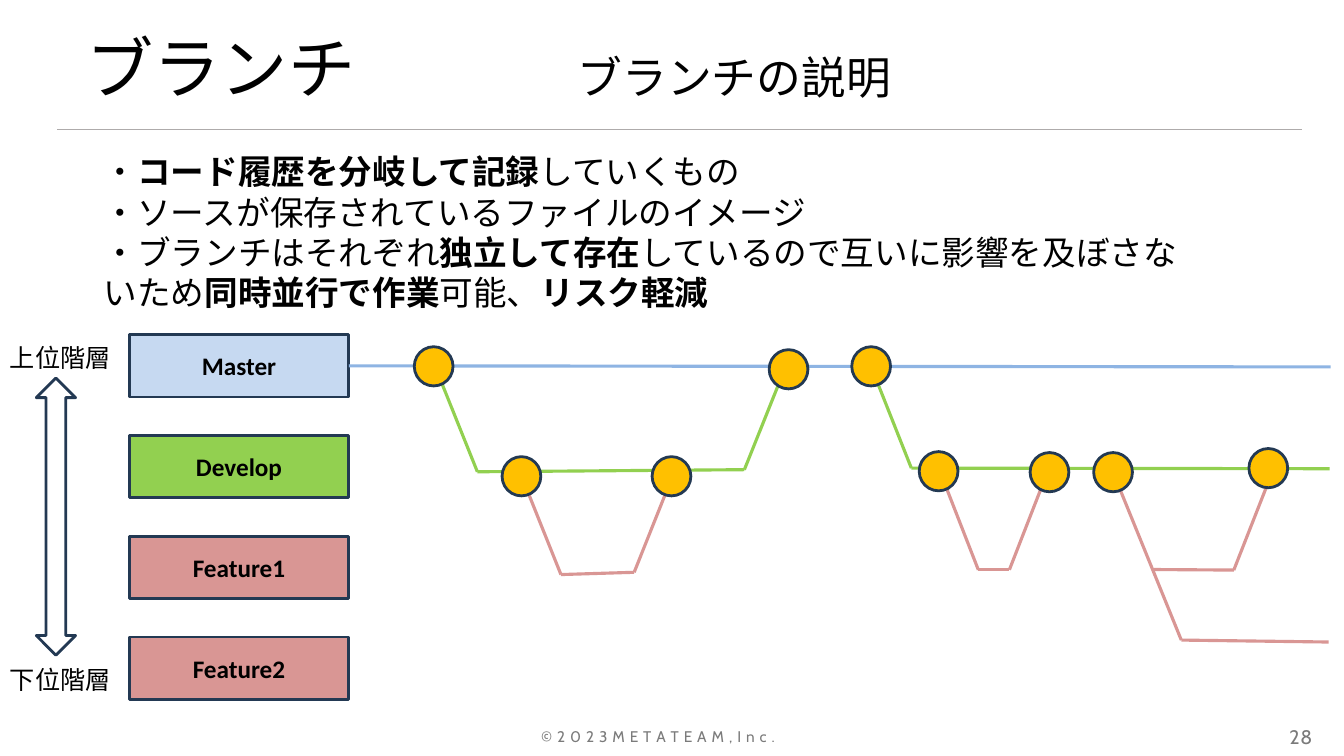
import itertools

import pptx
import pptx.dml.color
import pptx.enum.shapes
import pptx.enum.text
import pptx.oxml.ns
import pptx.util
from lxml import etree

Pt = pptx.util.Pt
SHAPES = pptx.enum.shapes.MSO_SHAPE

BLACK, GRAY, RULE_GRAY = "000000", "7B7B7B", "AEABAB"
NAVY, YELLOW = "233953", "FFC000"
PALE_BLUE, BLUE, GREEN, PINK = "C6D9F1", "8EB4E3", "92D050", "D99694"
JAPANESE_FONT = "Noto Sans CJK JP"

BOX_LEFT, BOX_TOP, BOX_WIDTH, BOX_HEIGHT, BOX_STEP = 92.2, 239, 157, 44.6, 72
COMMIT_WIDTH, COMMIT_HEIGHT = 27.7, 28

BRANCHES = [("Master", PALE_BLUE), ("Develop", GREEN), ("Feature1", PINK), ("Feature2", PINK)]

BRANCH_PATHS = [
    (GREEN, [(313.2, 267.8), (341, 337), (531.7, 335.5), (559.4, 266.4)]),
    (GREEN, [(623.5, 265), (651, 334.4), (949.7, 334.8)]),
    (PINK, [(373, 341.3), (400.7, 410.4), (453, 408.8), (480.2, 340.6)]),
    (PINK, [(671.8, 337.7), (698.8, 407), (721, 407), (748, 337.7)]),
    (PINK, [(799.9, 349.2), (843.8, 457.2), (949, 458.6)]),
    (PINK, [(824.4, 406.8), (881.3, 407.2), (908.6, 337.7)]),
]

COMMITS = [
    (295.9, 247.7), (549.4, 249.8), (608.4, 247.7),
    (358.6, 326.2), (465.8, 326.2), (656.6, 322.6),
    (735.8, 323.3), (781.2, 323.3), (892.1, 320.4),
]

# Each paragraph is a list of (text, bold) runs.
EXPLANATION = [
    [("・", False), ("コード履歴を分岐して記録", True), ("していくもの", False)],
    [("・ソースが保存されているファイルのイメージ", False)],
    [("・ブランチはそれぞれ", False), ("独立して存在", True),
     ("しているので互いに影響を及ぼさないため", False),
     ("同時並行で作業", True), ("可能、", False), ("リスク軽減", True)],
]


def rgb(color):
    return pptx.dml.color.RGBColor.from_string(color)


def format_run(run, size, font="Calibri", color=BLACK, bold=False, spacing=0):
    run.font.size = Pt(size)
    run.font.name = font
    run.font.bold = bold
    run.font.color.rgb = rgb(color)
    properties = run.font._element
    if spacing:
        properties.set("spc", str(round(spacing * 100)))
    latin = properties.find(pptx.oxml.ns.qn("a:latin"))
    east_asian = etree.Element(pptx.oxml.ns.qn("a:ea"), typeface=JAPANESE_FONT)
    latin.addnext(east_asian)


def add_text(slide, left, top, width, height, paragraphs, size, inset=True, **style):
    """Add a text box; each paragraph is a list of (text, bold) runs."""
    box = slide.shapes.add_textbox(Pt(left), Pt(top), Pt(width), Pt(height))
    frame = box.text_frame
    frame.word_wrap = True
    if not inset:
        frame.margin_left = frame.margin_right = frame.margin_bottom = 0
        frame.margin_top = Pt(0.7)
    for index, runs in enumerate(paragraphs):
        paragraph = frame.add_paragraph() if index else frame.paragraphs[0]
        for text, bold in runs:
            run = paragraph.add_run()
            run.text = text
            format_run(run, size, bold=bold, **style)


def add_label(slide, left, top, width, height, text, size, **style):
    add_text(slide, left, top, width, height, [[(text, False)]], size, **style)


def add_line(slide, start, end, color, width=2.25):
    line = slide.shapes.add_connector(
        pptx.enum.shapes.MSO_CONNECTOR.STRAIGHT, *map(Pt, start + end))
    line.line.color.rgb = rgb(color)
    line.line.width = Pt(width)
    etree.SubElement(line._element.spPr, pptx.oxml.ns.qn("a:effectLst"))
    return line


def add_outlined_shape(slide, kind, left, top, width, height, fill=None):
    shape = slide.shapes.add_shape(kind, Pt(left), Pt(top), Pt(width), Pt(height))
    shape.shadow.inherit = False
    if fill:
        shape.fill.solid()
        shape.fill.fore_color.rgb = rgb(fill)
    else:
        shape.fill.background()
    shape.line.color.rgb = rgb(NAVY)
    shape.line.width = Pt(2)
    return shape


def add_branch_box(slide, row, name, fill):
    box = add_outlined_shape(slide, SHAPES.RECTANGLE, BOX_LEFT, BOX_TOP + row * BOX_STEP,
                             BOX_WIDTH, BOX_HEIGHT, fill)
    box.text_frame.text = name
    box.text_frame.vertical_anchor = pptx.enum.text.MSO_ANCHOR.MIDDLE
    paragraph = box.text_frame.paragraphs[0]
    paragraph.alignment = pptx.enum.text.PP_ALIGN.CENTER
    format_run(paragraph.runs[0], 18, bold=True)
    return box


def add_branch_diagram(slide):
    boxes = [add_branch_box(slide, row, *branch) for row, branch in enumerate(BRANCHES)]
    master_line = add_line(slide, (249.2, 261.3), (950.4, 262.1), BLUE)
    master_line.begin_connect(boxes[0], 3)
    for color, points in BRANCH_PATHS:
        for start, end in itertools.pairwise(points):
            add_line(slide, start, end, color)
    for left, top in COMMITS:
        add_outlined_shape(slide, SHAPES.FLOWCHART_CONNECTOR, left, top,
                           COMMIT_WIDTH, COMMIT_HEIGHT, YELLOW)


def add_level_scale(slide):
    add_label(slide, 0, 241.2, 95.8, 28.8, "上位階層", 18)
    add_label(slide, 0, 470.9, 95.8, 28.8, "下位階層", 18)
    add_outlined_shape(slide, SHAPES.UP_DOWN_ARROW, 25.9, 270, 28.1, 198)


def add_footer(slide):
    style = {"font": "Cabin", "color": GRAY, "inset": False}
    add_label(slide, 386.6, 518.4, 186, 15.8,
              "© 2 0 2 3 M E T A T E A M , I n c .", 11, spacing=0.5, **style)
    add_label(slide, 921, 517, 22, 19.4, "28", 14, spacing=0.6, **style)


def main():
    presentation = pptx.Presentation()
    presentation.slide_width = Pt(960)
    presentation.slide_height = Pt(540)
    slide = presentation.slides.add_slide(presentation.slide_layouts[6])

    add_line(slide, (41, 92.2), (930.2, 92.2), RULE_GRAY, 0.5)
    add_footer(slide)
    add_label(slide, 54.7, 15.1, 723.6, 65.5, "ブランチ", 48)
    add_branch_diagram(slide)
    add_text(slide, 67, 104.4, 784.8, 123.8, EXPLANATION, 24, font=JAPANESE_FONT)
    add_level_scale(slide)
    add_label(slide, 405.4, 31.7, 265, 46, "ブランチの説明", 32)

    presentation.save("out.pptx")


if __name__ == "__main__":
    main()
